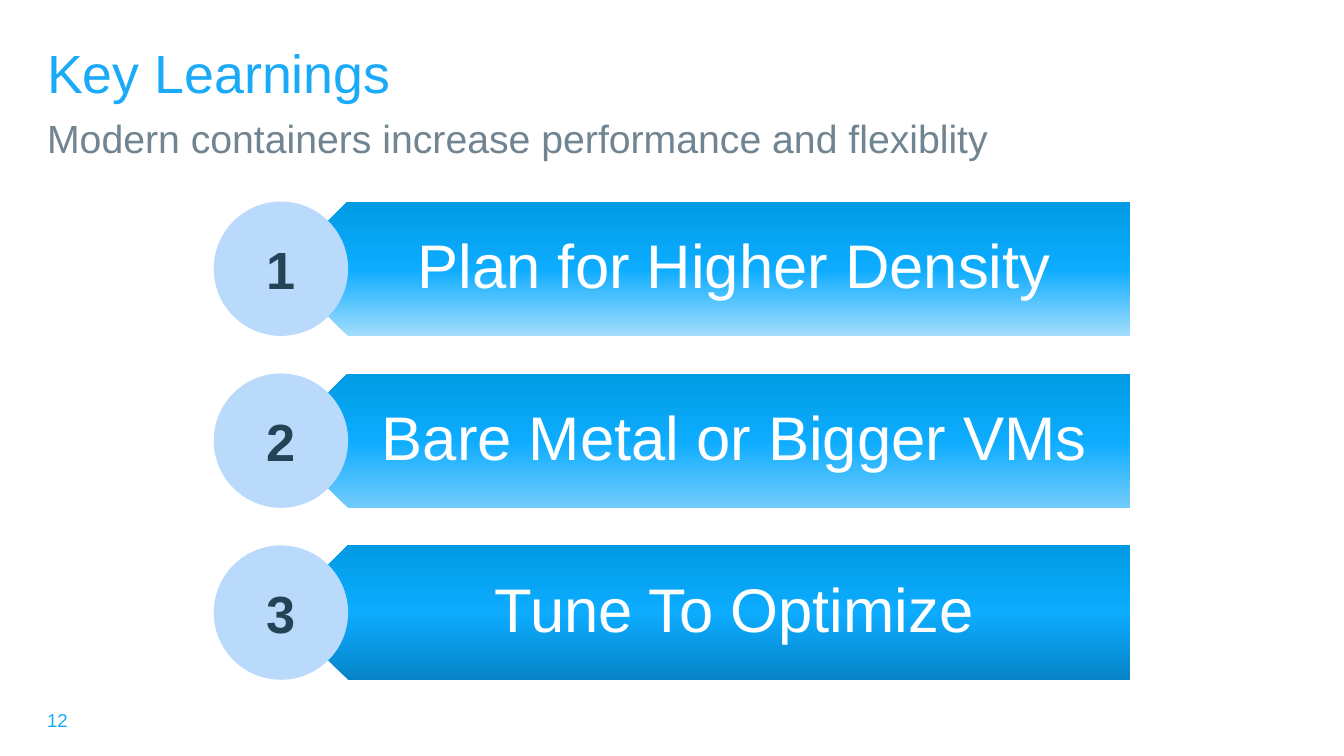
from copy import deepcopy

from pptx import Presentation
from pptx.dml.color import RGBColor as RGB
from pptx.enum.shapes import MSO_SHAPE as SHAPE
from pptx.enum.text import MSO_ANCHOR as ANCHOR, PP_ALIGN as ALIGN
from pptx.util import Cm, Pt

COLORS = {
    "title": "1AAAF8",
    "subtitle": "708491",
    "number": "254356",
    "label": "FFFFFF",
    "circle": "BADAFC",
    "middle": "0DACFF",
    "top": "009BE3",
}
HEADINGS = [
    ("Key Learnings", (0.64, 0.76, 24.13, 1.32), "title", 28.8, {"line_spacing": 0.9}, {}),
    ("Modern containers increase performance and flexiblity",
     (0.64, 2.13, 24.13, 1.3), "subtitle", 21, {"line_spacing": 0.9}, {}),
    ("12", (0.64, 13.23, 6, 0.76), "title", 10, {}, {"vertical_anchor": ANCHOR.MIDDLE}),
]
LEARNINGS = [
    ("Plan for Higher Density", "A2DDFC"),
    ("Bare Metal or Bigger VMs", "73CCFB"),
    ("Tune To Optimize", "0683C7"),
]
FIRST_TOP, PITCH, SIZE = 3.81, 3.25, 2.54
CIRCLE_LEFT, RIGHT = 4.04, 21.36
BANNER_LEFT = CIRCLE_LEFT + SIZE / 2
LABEL_LEFT = 5.94

FRAME = {"word_wrap": True, "margin_left": Cm(0.25), "margin_right": Cm(0.25),
         "margin_top": Cm(0.13), "margin_bottom": Cm(0.13)}
LABEL_FRAME = {"vertical_anchor": ANCHOR.MIDDLE, "margin_left": Cm(1.12),
               "margin_right": Cm(0.66), "margin_top": Cm(0.36), "margin_bottom": Cm(0.36)}


def apply(target, values):
    for name, value in values.items():
        setattr(target, name, value)


def add_text(s, text, box, color, size, para=None, frame=None, bold=False):
    tf = s.shapes.add_textbox(*map(Cm, box)).text_frame
    apply(tf, {**FRAME, **(frame or {})})
    p = tf.paragraphs[0]
    apply(p, para or {})
    r = p.add_run()
    r.text = text
    apply(r.font, {"name": "Arial", "size": Pt(size), "bold": bold})
    r.font.color.rgb = RGB.from_string(COLORS[color])


def add_shape(s, kind, box):
    sp = s.shapes.add_shape(kind, *map(Cm, box))
    sp.shadow.inherit = False
    sp.line.fill.background()
    return sp


def fill_gradient(sp, colors):
    fill = sp.fill
    fill.gradient()
    fill.gradient_angle = 270
    stops = fill._fill._gradFill.gsLst
    stops.append(deepcopy(stops[-1]))
    for i, (stop, color) in enumerate(zip(fill.gradient_stops, colors)):
        stop.position = i / 2
        stop.color.rgb = RGB.from_string(color)


def add_learning(s, i, text, bottom_color):
    top = FIRST_TOP + i * PITCH
    banner = add_shape(s, SHAPE.PENTAGON, (BANNER_LEFT, top, RIGHT - BANNER_LEFT, SIZE))
    banner.rotation = 180
    banner.adjustments[0] = 0.5
    fill_gradient(banner, (bottom_color, COLORS["middle"], COLORS["top"]))
    add_text(s, text, (LABEL_LEFT, top, RIGHT - LABEL_LEFT, SIZE), "label", 33,
             {"alignment": ALIGN.CENTER, "line_spacing": 0.9}, LABEL_FRAME)
    circle = add_shape(s, SHAPE.OVAL, (CIRCLE_LEFT, top, SIZE, SIZE))
    circle.fill.solid()
    circle.fill.fore_color.rgb = RGB.from_string(COLORS["circle"])
    add_text(s, str(i + 1), (CIRCLE_LEFT + 0.02, top + 0.55, 2.49, 1.45), "number", 28,
             {"alignment": ALIGN.CENTER}, bold=True)


def main():
    prs = Presentation()
    apply(prs, {"slide_width": Cm(25.4), "slide_height": Cm(14.29)})
    s = prs.slides.add_slide(prs.slide_layouts[6])
    for heading in HEADINGS:
        add_text(s, *heading)
    for i, learning in enumerate(LEARNINGS):
        add_learning(s, i, *learning)
    prs.save("out.pptx")


if __name__ == "__main__":
    main()
